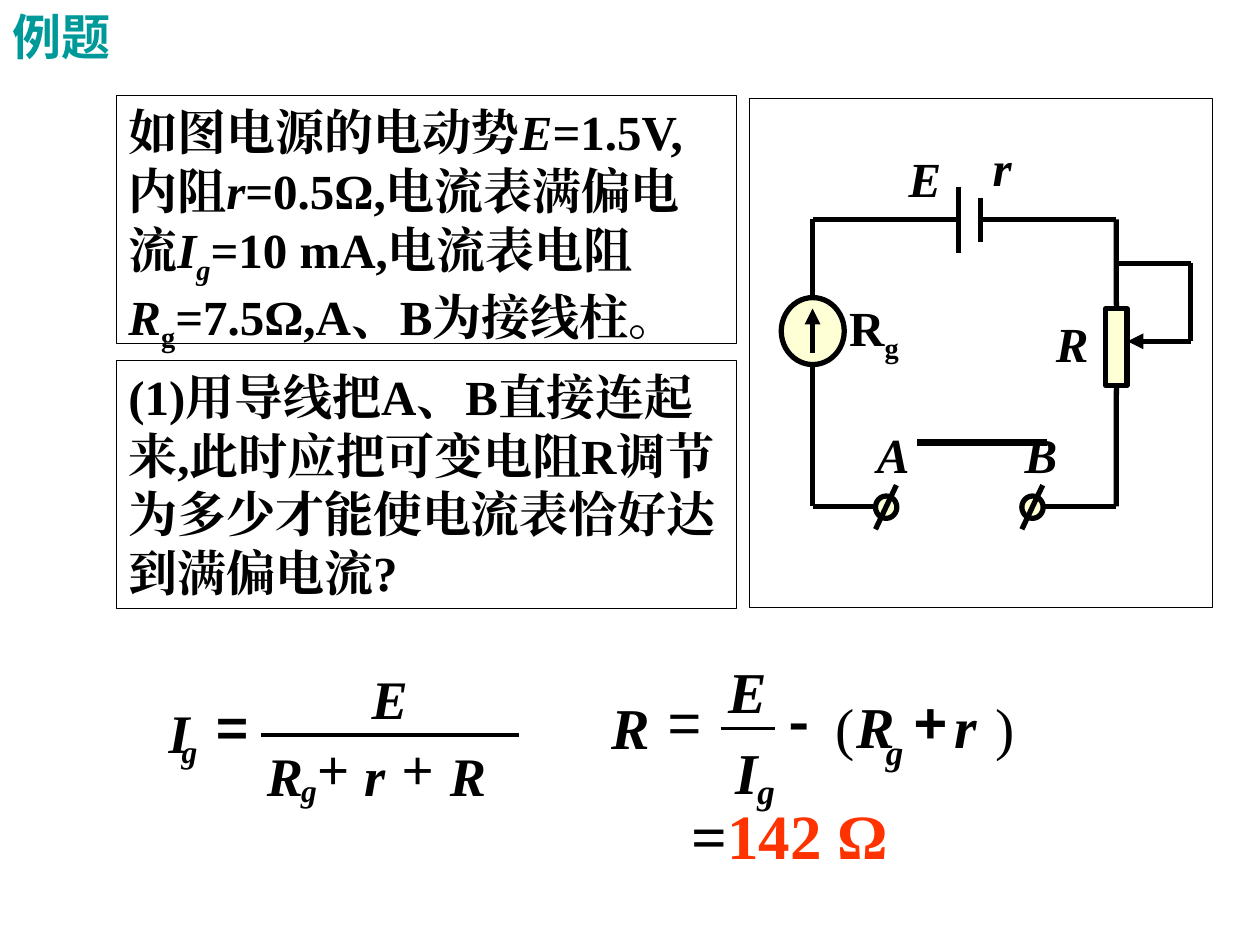
import pptx
import pptx.dml.color
import pptx.enum.shapes
import pptx.enum.text
import pptx.oxml.ns
import pptx.util
from lxml import etree

Cm, Pt, qn = pptx.util.Cm, pptx.util.Pt, pptx.oxml.ns.qn
SHAPE = pptx.enum.shapes.MSO_SHAPE
ALIGN = pptx.enum.text.PP_ALIGN
SERIF, SANS, CJK = "Times New Roman", "Arial", "Noto Sans CJK SC"

# Advance width of each formula symbol, in ems
EM_WIDTH = {"R": 0.67, "E": 0.67, "r": 0.39, "I": 0.39, "(": 0.33, ")": 0.33,
            "+": 0.55, "=": 0.55, "-": 0.5, "g": 0.5}
# Formula symbol styles: font, bold, italic
VAR, PLAIN = (SERIF, True, True), (SERIF, False, False)
OP, BOLD_OP, CJK_OP = (SANS, False, False), (SANS, True, False), (CJK, True, False)


def color(hex_string):
    return pptx.dml.color.RGBColor.from_string(hex_string)


class Slide:
    ink, paper, cream = "000000", "FFFFFF", "FFFFCC"
    size, wire = 28, 3

    def __init__(self, prs):
        self.s = prs.slides.add_slide(prs.slide_layouts[6])
        self.shapes = self.s.shapes

    def group(self):
        self.shapes = self.s.shapes.add_group_shape().shapes

    def ungroup(self):
        self.shapes = self.s.shapes

    def shape(self, kind, x, y, w, h, fill, width):
        sp = self.shapes.add_shape(kind, Cm(x), Cm(y), Cm(w), Cm(h))
        sp.shadow.inherit = False
        sp.fill.solid()
        sp.fill.fore_color.rgb = color(fill)
        clr = sp._element.spPr.find(qn("a:solidFill"))[0]
        etree.SubElement(clr, qn("a:alpha"), val="80000")
        sp.line.color.rgb = color(self.ink)
        sp.line.width = Pt(width)
        return sp

    def fill_text(self, sp, runs, wrap=True, align=ALIGN.LEFT, spacing=None,
                  size=None, inset=None):
        """Each run is its text followed by its format settings."""
        tf = sp.text_frame
        tf.word_wrap = wrap
        tf.auto_size = pptx.enum.text.MSO_AUTO_SIZE.SHAPE_TO_FIT_TEXT
        tf.vertical_anchor = pptx.enum.text.MSO_ANCHOR.TOP
        if inset is not None:
            tf.margin_left = tf.margin_right = Cm(inset)
            tf.margin_top = tf.margin_bottom = Cm(inset)
        p = tf.paragraphs[0]
        p.alignment = align
        if spacing:
            p.line_spacing = spacing
        for text, style in runs:
            r = p.add_run()
            r.text = text
            font = r.font
            font.size = Pt(size or self.size)
            font.name = style.get("font", SERIF)
            font.bold = style.get("bold", True)
            font.italic = style.get("italic", False)
            font.color.rgb = color(style.get("color", self.ink))
            rPr = r._r.get_or_add_rPr()
            etree.SubElement(rPr, qn("a:ea"), typeface=font.name)
            if style.get("sub"):
                rPr.set("baseline", "-25000")

    def panel(self, x, y, w, h, runs=None):
        sp = self.shape(SHAPE.RECTANGLE, x, y, w, h, self.paper, 0.25)
        if runs:
            self.fill_text(sp, runs)

    def text(self, x, y, w, h, runs, **layout):
        sp = self.shapes.add_textbox(Cm(x), Cm(y), Cm(w), Cm(h))
        self.fill_text(sp, runs, **layout)

    def label(self, text, x, y, w=1.17):
        self.text(x, y, w, 1.19, [(text, {"italic": True})], wrap=False,
                  align=ALIGN.CENTER, spacing=0.8)

    def line(self, x1, y1, x2, y2, width=None, arrow=False):
        c = self.shapes.add_connector(pptx.enum.shapes.MSO_CONNECTOR.STRAIGHT,
                                      Cm(x1), Cm(y1), Cm(x2), Cm(y2))
        c.line.color.rgb = color(self.ink)
        c.line.width = Pt(width or self.wire)
        spPr = c._element.spPr
        if arrow:
            etree.SubElement(spPr.find(qn("a:ln")), qn("a:tailEnd"), type="triangle")
        etree.SubElement(spPr, qn("a:effectLst"))
        return c

    def formula(self, size, sub_size, symbols):
        for text, x, y, (font, bold, italic) in symbols:
            pt = sub_size if text == "g" else size
            em = pt / 72 * 2.54
            run = (text, {"font": font, "bold": bold, "italic": italic})
            self.text(x, y, EM_WIDTH[text] * em, 1.2 * em, [run],
                      wrap=False, size=pt, inset=0)


def main():
    prs = pptx.Presentation()
    prs.slide_width, prs.slide_height = Cm(25.4), Cm(19.05)
    d = Slide(prs)
    it, sub = {"italic": True}, {"sub": True}

    # Problem statement and question
    d.panel(2.34, 1.93, 12.5, 5, [
        ("如图电源的电动势", {}), ("E", it), ("=1.5V,内阻", {}), ("r", it),
        ("=0.5Ω,电流表满偏电流", {}), ("I", it), ("g", {**it, **sub}),
        ("=10 mA,电流表电阻", {}), ("R", it), ("g", sub),
        ("=7.5Ω,A、B为接线柱。", {})])
    d.panel(2.34, 7.26, 12.5, 5, [
        ("(1)用导线把A、B直接连起来,此时应把可变电阻R调节为多少"
         "才能使电流表恰好达到满偏电流?", {})])

    # Circuit: frame, battery and outer wires
    left, right, top, bottom = 16.38, 22.5, 4.42, 10.21
    d.group()
    d.panel(15.11, 1.98, 9.32, 10.26)
    d.line(left, top, 19.33, top)
    d.line(19.33, 3.76, 19.33, 5.1)
    d.line(19.76, 3.99, 19.76, 4.88)
    d.line(19.76, top, right, top)
    d.line(left, top, left, 6)
    d.line(left, 7.33, left, bottom)
    d.line(left, bottom, 17.65, bottom)
    d.line(21.03, bottom, right, bottom)

    # Galvanometer
    d.shape(SHAPE.OVAL, 15.75, 6, 1.27, 1.35, d.cream, d.wire)
    d.line(left, 7.11, left, 6.22, arrow=True)

    # Variable resistor and its slider
    resistor = d.shape(SHAPE.RECTANGLE, 22.29, 6.22, 0.43, 1.55, d.cream, d.wire)
    d.line(right, top, right, 6.22).end_connect(resistor, 0)
    d.line(right, 7.77, right, bottom).begin_connect(resistor, 2)
    d.line(right, 5.31, 24, 5.31)
    d.line(24, 5.31, 24, 6.88)
    d.line(24, 6.88, 22.73, 6.88, arrow=True)

    # Terminals A and B
    for x in (17.65, 20.6):
        d.shape(SHAPE.OVAL, x, 10, 0.43, 0.45, d.cream, d.wire)
        d.line(x + 0.42, 9.78, x, 10.67)

    # Circuit labels
    d.label("r", 19.76, 2.87, 0.89)
    d.label("A", 17.42, 8.66)
    d.label("B", 20.4, 8.66)
    d.label("E", 18.06, 3.1)
    d.label("R", 21.03, 6.43)
    d.text(16.87, 5.87, 2.01, 1.45, [("R", {}), ("g", sub)])
    d.ungroup()
    d.line(18.49, 8.92, 21.11, 8.92, 4.5)

    # R = E / Ig - (Rg + r)
    d.group()
    d.line(14.53, 14.68, 15.62, 14.68, 1.63)
    d.formula(33, 20, [
        ("R", 12.32, 13.94, VAR), ("=", 13.46, 13.82, OP),
        ("E", 14.68, 13.21, VAR), ("I", 14.83, 14.86, VAR),
        ("g", 15.27, 15.52, VAR), ("-", 15.9, 13.82, CJK_OP),
        ("(", 16.84, 13.94, PLAIN), ("R", 17.27, 13.92, VAR),
        ("g", 17.86, 14.73, VAR), ("+", 18.42, 13.82, BOLD_OP),
        ("r", 19.25, 13.92, VAR), (")", 20.07, 13.94, PLAIN)])

    # Ig = E / (Rg + r + R)
    d.group()
    d.line(5.26, 14.81, 10.46, 14.81, 2.25)
    d.formula(31, 18, [
        ("I", 3.4, 14.1, VAR), ("g", 3.66, 14.76, VAR),
        ("=", 4.37, 14.02, CJK_OP), ("E", 7.49, 13.41, VAR),
        ("R", 5.38, 14.96, VAR), ("g", 6.07, 15.54, VAR),
        ("+", 6.4, 14.83, OP), ("r", 7.34, 14.96, VAR),
        ("+", 8.1, 14.83, OP), ("R", 9.07, 14.96, VAR)])
    d.ungroup()

    # Result and slide title
    d.text(13.69, 15.93, 4.8, 1.78, [("=", {}), ("142 Ω", {"color": "FF3300"})], size=36)
    d.text(0, 0, 5.33, 1.45, [("例题", {"font": SANS, "color": "009999"})])

    prs.save("out.pptx")


if __name__ == "__main__":
    main()
